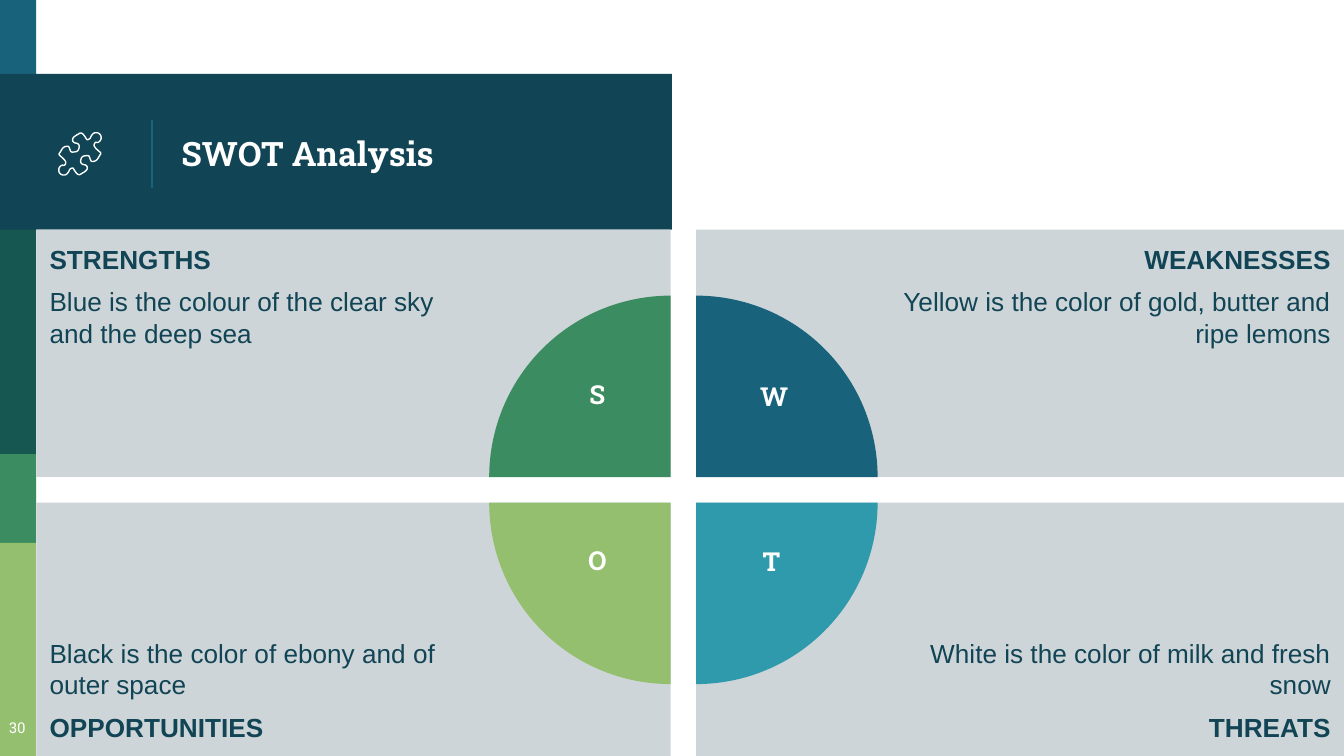
from lxml import etree
from pptx import Presentation
from pptx.dml.color import RGBColor
from pptx.enum.shapes import MSO_CONNECTOR, MSO_SHAPE
from pptx.enum.text import MSO_ANCHOR, PP_ALIGN
from pptx.oxml.ns import qn
from pptx.util import Inches, Pt

RECTANGLE, PIE = MSO_SHAPE.RECTANGLE, MSO_SHAPE.PIE
STRAIGHT = MSO_CONNECTOR.STRAIGHT
LEFT, CENTER, RIGHT = PP_ALIGN.LEFT, PP_ALIGN.CENTER, PP_ALIGN.RIGHT
TOP, MIDDLE, BOTTOM = MSO_ANCHOR.TOP, MSO_ANCHOR.MIDDLE, MSO_ANCHOR.BOTTOM

WIDTH = 10
HEIGHT = WIDTH * 9 / 16
NAVY, BLUE, GREEN, LIME, TEAL = "114454", "18637B", "3B8D61", "94BF6E", "309AAD"
WHITE, GRAY, PINE = "FFFFFF", "CED5D8", "165751"
SERIF, SANS = "Roboto Slab", "Arial"

TITLE = "SWOT Analysis"
PAGE_NUMBER = "30"
SIDEBAR_WIDTH = 0.27
SIDEBAR = [(0, 0.58, BLUE), (1.7, 3.38, PINE), (3.38, 4.04, GREEN), (4.04, HEIGHT, LIME)]

COLUMNS = [(SIDEBAR_WIDTH, 4.99), (5.18, WIDTH)]
ROWS = [(1.71, 3.55), (3.74, HEIGHT)]
PIE_SIZE = 2.7
QUADRANTS = [
    dict(column=0, row=0, turn=0, color=GREEN, letter="S", letter_at=(4.26, 2.77, 0.37),
         heading="STRENGTHS", body="Blue is the colour of the clear sky and the deep sea"),
    dict(column=1, row=0, turn=90, color=BLUE, letter="W", letter_at=(5.4, 2.78, 0.72),
         heading="WEAKNESSES", body="Yellow is the color of gold, butter and ripe lemons"),
    dict(column=1, row=1, turn=180, color=TEAL, letter="T", letter_at=(5.52, 4.01, 0.44),
         heading="THREATS", body="White is the color of milk and fresh snow"),
    dict(column=0, row=1, turn=270, color=LIME, letter="O", letter_at=(4.22, 4, 0.45),
         heading="OPPORTUNITIES", body="Black is the color of ebony and of outer space"),
]

UNITS_PER_INCH = 1000
PUZZLE_CENTER = (595, 1145)
PUZZLE_HALF = [
    (710, 1060), (730, 1060), (750, 1040), (750, 1010), (730, 990), (700, 990),
    (680, 1010), (670, 1030), (650, 1040), (640, 1030), (620, 1000), (600, 990),
    (580, 1000), (550, 1020), (540, 1040), (550, 1060), (580, 1070), (590, 1090),
    (580, 1120), (560, 1130), (530, 1130), (520, 1110), (510, 1090), (490, 1090),
    (470, 1100), (450, 1130), (440, 1150), (460, 1170), (480, 1190), (490, 1210),
]


def rgb(color):
    """Turn a hex string into a colour."""
    return RGBColor.from_string(color)


def add_block(slide, kind, left, top, width, height, color):
    """Add a filled shape without line or shadow."""
    shape = slide.shapes.add_shape(kind, Inches(left), Inches(top), Inches(width), Inches(height))
    shape.shadow.inherit = False
    shape.fill.solid()
    shape.fill.fore_color.rgb = rgb(color)
    shape.line.fill.background()
    return shape


def set_frame(frame, anchor=TOP, insets=(0.1, 0.1, 0.1, 0.1)):
    """Set wrapping, anchor and insets of a text frame."""
    frame.word_wrap = True
    frame.vertical_anchor = anchor
    frame.margin_left, frame.margin_top, frame.margin_right, frame.margin_bottom = map(Inches, insets)


def write(paragraph, text, size=14, font=SERIF, color=WHITE, bold=False, align=LEFT, before=0, after=0):
    """Write formatted text into a paragraph."""
    run = paragraph.add_run()
    run.text = text
    run.font.size, run.font.name, run.font.bold = Pt(size), font, bold
    run.font.color.rgb = rgb(color)
    paragraph.alignment = align
    paragraph.space_before, paragraph.space_after = Pt(before), Pt(after)


def add_label(slide, text, left, top, width, height, insets, **style):
    """Add a centred text box."""
    frame = slide.shapes.add_textbox(Inches(left), Inches(top), Inches(width), Inches(height)).text_frame
    set_frame(frame, insets=insets)
    write(frame.paragraphs[0], text, align=CENTER, **style)


def add_header(slide):
    """Draw the sidebar, title band, divider and title."""
    for top, bottom, color in SIDEBAR:
        add_block(slide, RECTANGLE, 0, top, SIDEBAR_WIDTH, bottom - top, color)
    add_block(slide, RECTANGLE, 0, 0.55, WIDTH / 2, 1.16, NAVY)
    divider = slide.shapes.add_connector(STRAIGHT, Inches(1.13), Inches(0.89), Inches(1.13), Inches(1.4))
    divider.line.color.rgb = rgb(BLUE)
    divider.line.width = Pt(0.75)
    etree.SubElement(divider.element.spPr, qn("a:effectLst"))
    title = slide.shapes.title
    title.left, title.top, title.width, title.height = map(Inches, (1.25, 0.58, 3.51, 1.12))
    set_frame(title.text_frame, MIDDLE)
    write(title.text_frame.paragraphs[0], TITLE, size=18, bold=True)
    divider.element.addnext(title.element)


def add_panel(slide, quadrant):
    """Draw a gray panel with its heading towards the outer edge."""
    (left, right), (top, bottom) = COLUMNS[quadrant["column"]], ROWS[quadrant["row"]]
    on_right, below = quadrant["column"] == 1, quadrant["row"] == 1
    panel = add_block(slide, RECTANGLE, left, top, right - left, bottom - top, GRAY)
    frame = panel.text_frame
    set_frame(frame, BOTTOM if below else TOP, (1.5, 0.1, 0.1, 0.1) if on_right else (0.1, 0.1, 1.5, 0.1))
    lines = [(quadrant["heading"], True), (quadrant["body"], False)]
    for index, (text, bold) in enumerate(reversed(lines) if below else lines):
        paragraph = frame.add_paragraph() if index else frame.paragraphs[0]
        write(paragraph, text, font=SANS, color=NAVY, bold=bold,
              align=RIGHT if on_right else LEFT, before=6 * index, after=6 * index)


def add_pie(slide, quadrant):
    """Draw a quarter circle at the panel's inner corner."""
    center_x = COLUMNS[quadrant["column"]][1 - quadrant["column"]]
    center_y = ROWS[quadrant["row"]][1 - quadrant["row"]]
    pie = add_block(slide, PIE, center_x - PIE_SIZE / 2, center_y - PIE_SIZE / 2,
                    PIE_SIZE, PIE_SIZE, quadrant["color"])
    pie.adjustments[0], pie.adjustments[1] = 108, 162
    pie.rotation = quadrant["turn"]


def smooth_outline(points, steps=4):
    """Return a closed Catmull-Rom curve through the points."""
    curve = []
    for index in range(len(points)):
        corners = [points[(index + offset) % len(points)] for offset in (-1, 0, 1, 2)]
        for step in range(steps):
            t = step / steps
            curve.append(tuple(
                (2 * b + (c - a) * t + (2 * a - 5 * b + 4 * c - d) * t ** 2
                 + (3 * b - a - 3 * c + d) * t ** 3) / 2
                for a, b, c, d in zip(*corners)))
    return curve


def add_puzzle(slide):
    """Draw the puzzle piece from one half and its half turn."""
    center_x, center_y = PUZZLE_CENTER
    turned = [(2 * center_x - x, 2 * center_y - y) for x, y in PUZZLE_HALF]
    outline = smooth_outline(PUZZLE_HALF + turned)
    builder = slide.shapes.build_freeform(*outline[0], scale=Inches(1) / UNITS_PER_INCH)
    builder.add_line_segments(outline[1:], close=True)
    puzzle = builder.convert_to_shape()
    puzzle.shadow.inherit = False
    puzzle.fill.background()
    puzzle.line.color.rgb = rgb(WHITE)
    puzzle.line.width = Pt(0.75)


def main():
    """Build and save the slide."""
    presentation = Presentation()
    presentation.slide_width, presentation.slide_height = Inches(WIDTH), Inches(HEIGHT)
    slide = presentation.slides.add_slide(presentation.slide_layouts[5])
    add_header(slide)
    add_label(slide, PAGE_NUMBER, -0.06, 5.28, 0.38, 0.35, (0.1, 0.1, 0.1, 0.1), size=8)
    for quadrant in QUADRANTS:
        add_panel(slide, quadrant)
    for quadrant in QUADRANTS:
        add_pie(slide, quadrant)
    for quadrant in QUADRANTS:
        left, top, width = quadrant["letter_at"]
        add_label(slide, quadrant["letter"], left, top, width, 0.5, (0.1, 0.05, 0.1, 0.05), bold=True)
    add_puzzle(slide)
    presentation.save("out.pptx")


if __name__ == "__main__":
    main()
